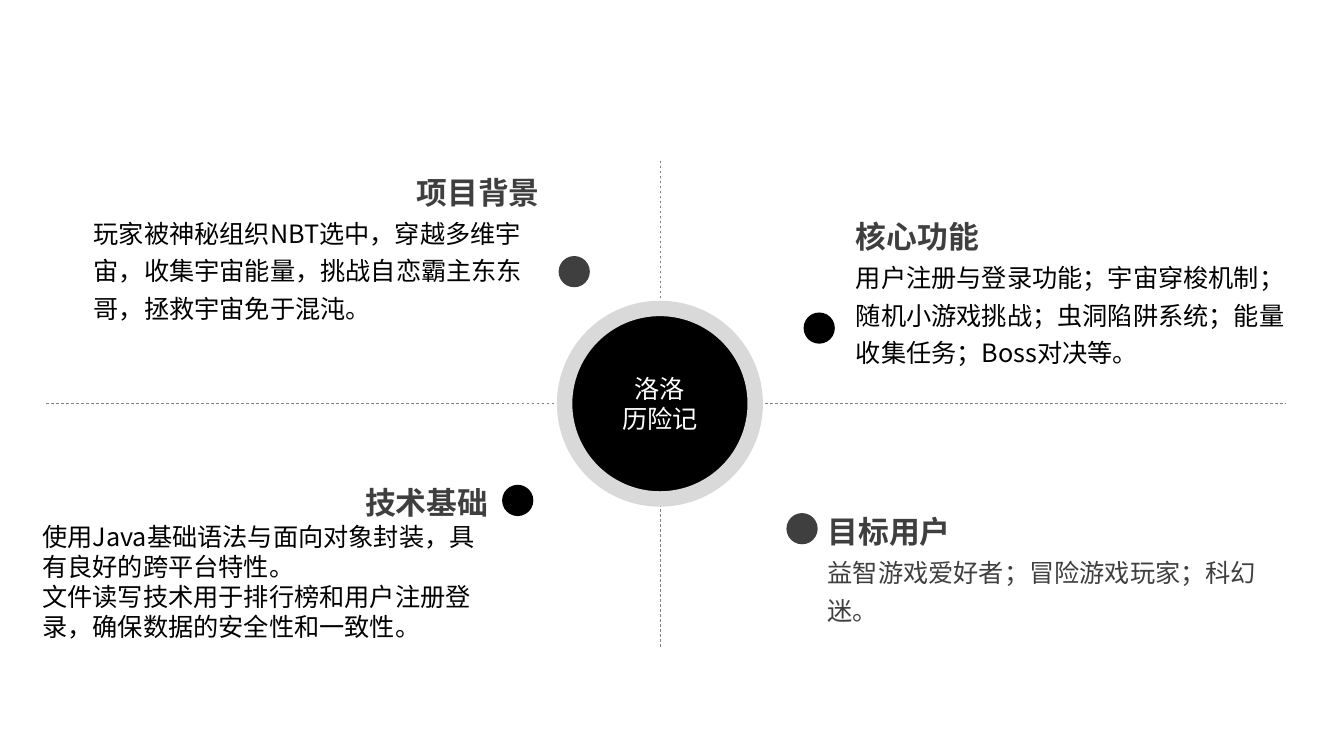
from lxml import etree
from pptx import Presentation
from pptx.dml.color import RGBColor
from pptx.enum.dml import MSO_LINE
from pptx.enum.shapes import MSO_CONNECTOR, MSO_SHAPE
from pptx.enum.text import MSO_ANCHOR, MSO_AUTO_SIZE, PP_ALIGN
from pptx.oxml.ns import qn
from pptx.util import Pt

PX = 9144  # 100 px to the inch
FONT = "Noto Sans CJK SC"
COLORS = {"black": "000000", "dark": "3F3F3F", "line": "808080",
          "ring": "D9D9D9", "white": "FFFFFF"}
LEFT, CENTER, RIGHT = PP_ALIGN.LEFT, PP_ALIGN.CENTER, PP_ALIGN.RIGHT
MIDDLE = MSO_ANCHOR.MIDDLE
FIT_TEXT = MSO_AUTO_SIZE.SHAPE_TO_FIT_TEXT
OVAL, STRAIGHT, DASH = MSO_SHAPE.OVAL, MSO_CONNECTOR.STRAIGHT, MSO_LINE.DASH

HUB = (560, 306, 189, 189)
AXES = (46, 158, 1275, 642)  # left, top, right, bottom ends
DOT_SIZE = 31

# Text box, dot position, dot colour, heading, heading side, body, body format
TOPICS = [
    ((83, 158, 462, 167), (554, 254), "dark", "项目背景", RIGHT,
     ["玩家被神秘组织NBT选中，穿越多维宇宙，收集宇宙能量，挑战自恋霸主东东哥，拯救宇宙免于混沌。"],
     {"spacing": 1.25}),
    ((839, 202, 462, 167), (797, 310), "black", "核心功能", LEFT,
     ["用户注册与登录功能；宇宙穿梭机制；随机小游戏挑战；虫洞陷阱系统；能量收集任务；Boss对决等。"],
     {"spacing": 1.25}),
    ((32, 466, 462, 178), (498, 481), "black", "技术基础", RIGHT,
     ["使用Java基础语法与面向对象封装，具有良好的跨平台特性。",
      "文件读写技术用于排行榜和用户注册登录，确保数据的安全性和一致性。"], {}),
    ((811, 495, 462, 129), (780, 509), "dark", "目标用户", LEFT,
     ["益智游戏爱好者；冒险游戏玩家；科幻迷。"],
     {"spacing": 1.25, "color": "dark"}),
]


def emu(*lengths):
    return [length * PX for length in lengths]


def rgb(name):
    return RGBColor.from_string(COLORS[name])


def write(frame, text, first=False, size=18, color="black", bold=False,
          align=LEFT, spacing=None):
    para = frame.paragraphs[0] if first else frame.add_paragraph()
    para.alignment = align
    para.line_spacing = spacing
    span = para.add_run()
    span.text = text
    font = span.font
    font.name, font.size, font.bold = FONT, Pt(size), bold
    font.color.rgb = rgb(color)
    latin = font._element.find(qn("a:latin"))
    east_asian = etree.Element(qn("a:ea"), typeface=FONT)
    latin.addnext(east_asian)


def add_circle(page, box, fill):
    circle = page.shapes.add_shape(OVAL, *emu(*box))
    circle.shadow.inherit = False
    circle.fill.solid()
    circle.fill.fore_color.rgb = rgb(fill)
    circle.line.fill.background()
    return circle


def add_axes(page, hub, ends):
    """Four dashed spokes from the hub to the ends of the cross."""
    x, y, width, height = hub
    left, top, right, bottom = ends
    middle_x, middle_y = x + width // 2 + 1, y + height // 2
    spokes = [(x + width, middle_y, right, middle_y),
              (left, middle_y, x, middle_y),
              (middle_x, y, middle_x, top),
              (middle_x, bottom, middle_x, y + height)]
    for spoke in spokes:
        axis = page.shapes.add_connector(STRAIGHT, *emu(*spoke))
        axis.line.color.rgb = rgb("line")
        axis.line.width = Pt(0.5)
        axis.line.dash_style = DASH
        etree.SubElement(axis._element.spPr, qn("a:effectLst"))


def add_hub(page, box):
    hub = add_circle(page, box, "black")
    hub.line.color.rgb = rgb("ring")
    hub.line.width = Pt(11)
    frame = hub.text_frame
    frame.word_wrap = False
    frame.vertical_anchor = MIDDLE
    for index, text in enumerate(["洛洛", "历险记"]):
        write(frame, text, first=index == 0, color="white", align=CENTER)


def add_topic(page, box, dot, dot_color, heading, side, body, body_format):
    frame = page.shapes.add_textbox(*emu(*box)).text_frame
    frame.word_wrap = True
    frame.auto_size = FIT_TEXT
    write(frame, heading, first=True, size=22, color="dark", bold=True,
          align=side, spacing=1.25)
    for text in body:
        write(frame, text, **body_format)
    add_circle(page, (*dot, DOT_SIZE, DOT_SIZE), dot_color)


def main():
    deck = Presentation()
    deck.slide_width, deck.slide_height = emu(1333, 750)
    page = deck.slides.add_slide(deck.slide_layouts[6])
    add_axes(page, HUB, AXES)
    add_hub(page, HUB)
    for topic in TOPICS:
        add_topic(page, *topic)
    deck.save("out.pptx")


if __name__ == "__main__":
    main()
